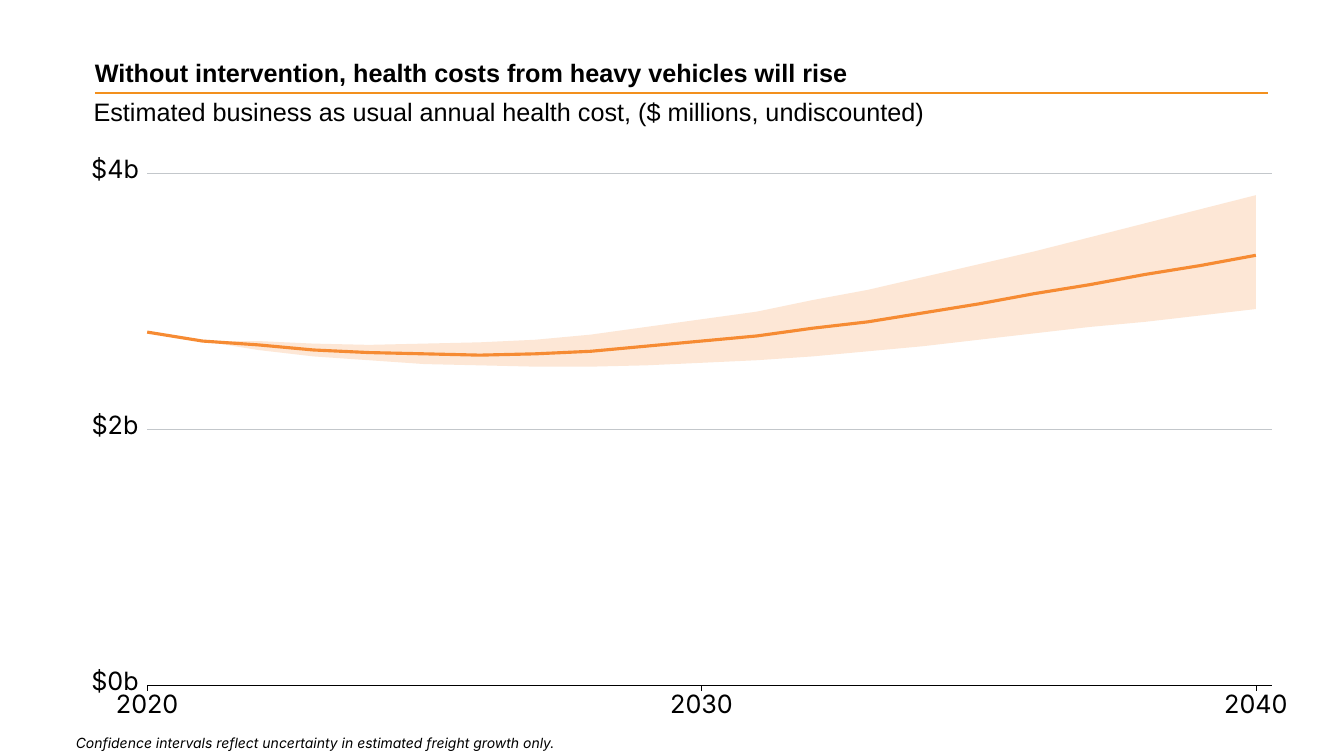
from lxml import etree
from pptx import Presentation
from pptx import util as u
from pptx.dml import color
from pptx.enum import shapes, text
from pptx.oxml import ns

COLOURS = {"ink": "000000", "rule": "F3901D", "cost": "F68B33", "grid": "C3C7CB"}

# Plot area in centimetres
LEFT, RIGHT, LAST_YEAR_X = 3.71, 32.05, 31.65
TOP, BASE = 4.37, 17.27
FIRST_YEAR, LAST_YEAR, MAX_COST = 2020, 2040, 4

# Annual health cost in $ billions, 2020 to 2040
CENTRAL = [2.76, 2.69, 2.66, 2.62, 2.60, 2.59, 2.58, 2.59, 2.61, 2.65, 2.69,
           2.73, 2.79, 2.84, 2.91, 2.98, 3.06, 3.13, 3.21, 3.28, 3.36]
HIGH = [2.76, 2.69, 2.69, 2.67, 2.66, 2.67, 2.68, 2.70, 2.74, 2.80, 2.86,
        2.92, 3.01, 3.09, 3.19, 3.29, 3.39, 3.50, 3.61, 3.72, 3.83]
LOW = [2.76, 2.69, 2.62, 2.57, 2.54, 2.51, 2.50, 2.49, 2.49, 2.50, 2.52,
       2.54, 2.57, 2.61, 2.65, 2.70, 2.75, 2.80, 2.84, 2.89, 2.94]


def rgb(name):
    """Return the named colour."""
    return color.RGBColor.from_string(COLOURS[name])


def year_x(year):
    """Return the horizontal place of a year."""
    return LEFT + (LAST_YEAR_X - LEFT) * (year - FIRST_YEAR) / (LAST_YEAR - FIRST_YEAR)


def cost_y(cost):
    """Return the vertical place of a cost in $ billions."""
    return BASE - (BASE - TOP) * cost / MAX_COST


def curve(costs):
    """Return the points of a yearly series."""
    return [(u.Cm(year_x(FIRST_YEAR + step)), u.Cm(cost_y(cost)))
            for step, cost in enumerate(costs)]


def set_all(target, values):
    """Set attributes from a dict of format values."""
    for name, value in values.items():
        setattr(target, name, value)


def add_text(page, words, place, font=None, frame=None, para_format=None):
    """Add a one-paragraph text box without margins."""
    box = page.shapes.add_textbox(*[u.Cm(length) for length in place])
    set_all(box.text_frame, {
        "margin_left": 0, "margin_right": 0, "margin_top": 0, "margin_bottom": 0,
        "word_wrap": True, **(frame or {})})
    para = box.text_frame.paragraphs[0]
    set_all(para, para_format or {})
    span = para.add_run()
    span.text = words
    set_all(span.font, {"name": "Arial", "size": u.Pt(18), **(font or {})})
    span.font.color.rgb = rgb("ink")


def add_label(page, words, centre, width, size=18, italic=False):
    """Add a one-line chart label around a centre point."""
    x, y = centre
    height = 0.5
    add_text(page, words, (x - width / 2, y - height / 2, width, height),
             {"name": "Inter", "size": u.Pt(size), "italic": italic},
             {"vertical_anchor": text.MSO_ANCHOR.MIDDLE},
             {"alignment": text.PP_ALIGN.CENTER, "line_spacing": u.Pt(size)})


def add_line(page, start, end, colour, width):
    """Add a straight line without shadow."""
    line = page.shapes.add_connector(
        shapes.MSO_CONNECTOR.STRAIGHT, *[u.Cm(length) for length in start + end])
    line.line.color.rgb = rgb(colour)
    line.line.width = u.Pt(width)
    etree.SubElement(line._element.spPr, ns.qn("a:effectLst"))


def add_outline(page, points, close):
    """Add a freeform through the points."""
    builder = page.shapes.build_freeform(*points[0], scale=1.0)
    builder.add_line_segments(points[1:], close=close)
    outline = builder.convert_to_shape()
    outline.shadow.inherit = False
    return outline


def add_band(page):
    """Add the translucent confidence band."""
    band = add_outline(page, curve(HIGH) + curve(LOW)[::-1], True)
    band.fill.solid()
    band.fill.fore_color.rgb = rgb("cost")
    band.line.fill.background()
    tint = band._element.spPr.find(".//" + ns.qn("a:srgbClr"))
    etree.SubElement(tint, ns.qn("a:alpha"), val="20000")


def add_central(page):
    """Add the central estimate."""
    estimate = add_outline(page, curve(CENTRAL), False)
    estimate.fill.background()
    estimate.line.color.rgb = rgb("cost")
    estimate.line.width = u.Pt(2.25)


def add_axes(page):
    """Add the axis line, ticks and axis labels."""
    for cost in (0, 2, 4):
        add_label(page, f"${cost}b", (2.9, cost_y(cost) - 0.07), 1.5)
    add_line(page, (LEFT, BASE), (RIGHT, BASE), "ink", 0.75)
    for year in (2020, 2030, 2040):
        x = year_x(year)
        add_line(page, (x, BASE), (x, BASE + 0.15), "ink", 0.56)
        add_label(page, str(year), (x, 17.78), 2)


def main():
    """Build the slide and save it."""
    deck = Presentation()
    set_all(deck, {"slide_width": u.Cm(33.87), "slide_height": u.Cm(19.05)})
    page = deck.slides.add_slide(deck.slide_layouts[6])

    add_line(page, (2.39, 2.34), (31.95, 2.34), "rule", 1.5)
    add_text(page, "Without intervention, health costs from heavy vehicles will rise",
             (2.39, 0.53, 25.1, 1.68), {"bold": True},
             {"vertical_anchor": text.MSO_ANCHOR.BOTTOM})
    add_text(page, "Estimated business as usual annual health cost, "
             "($ millions, undiscounted)", (2.36, 2.51, 29.59, 0.69),
             para_format={"line_spacing": 0.9})

    for cost in (2, 4):
        add_line(page, (LEFT, cost_y(cost)), (RIGHT, cost_y(cost)), "grid", 0.37)
    add_band(page)
    add_central(page)
    add_axes(page)
    add_label(page, "Confidence intervals reflect uncertainty in estimated "
              "freight growth only.", (7.94, 18.76), 13, 10, True)
    deck.save("out.pptx")


main()
